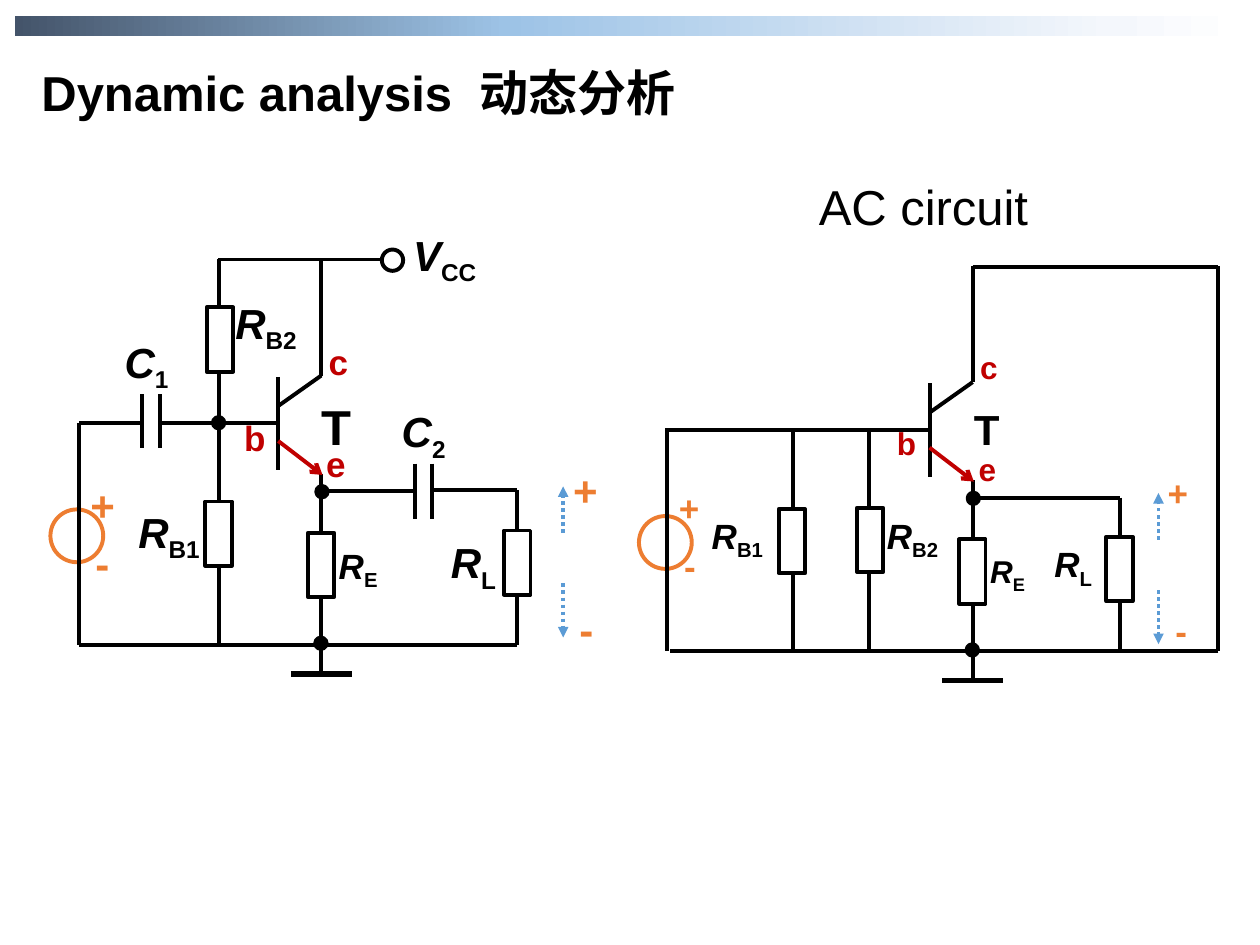
from itertools import pairwise
from lxml.etree import SubElement
from pptx import Presentation
from pptx.dml.color import RGBColor
from pptx.enum.dml import MSO_LINE
from pptx.enum.shapes import MSO_CONNECTOR, MSO_SHAPE
from pptx.enum.text import PP_ALIGN
from pptx.oxml.ns import qn
from pptx.util import Pt

BLACK, WHITE, RED, ORANGE, BLUE = "000000", "FFFFFF", "C00000", "ED7D31", "5B9BD5"
BANNER_STOPS = [(0, "44546A"), (40, "9DC3E6"), (89, "F4F7FC"), (100, WHITE)]

FULL_CIRCUIT = {
    "shift": (0, 0),
    "source_x": 43.9,
    "output_x": 321.8,
    "wires": [
        [(183.6, 214.6), (183.6, 148.3)],
        [(125, 368.6), (125, 148.3)],
        [(124.6, 148.3), (218.9, 148.3)],
        [(295.2, 368.6), (44.9, 368.6)],
        [(159, 241.9), (91.4, 241.9)],
        [(81.4, 241.9), (45.1, 241.9), (45.1, 368.6)],
        [(91.4, 225.4), (91.4, 256.3)],
        [(81.4, 225.4), (81.4, 256.3)],
        [(183.6, 280.8), (236.9, 280.8)],
        [(236.9, 265), (236.9, 296.6)],
        [(247, 265), (247, 296.6)],
        [(247, 280.1), (295.2, 280.1), (295.2, 368.6)],
    ],
    "resistors": [(125.6, 194), (295.6, 321.5), (124.9, 304.9)],
    "nodes": [(124.9, 241.6)],
    "labels": [
        ("V_CC", 229, 127.4, 24, BLACK), ("R_B2", 127.4, 166.3, 24, BLACK),
        ("R_L", 250.6, 303.1, 24, BLACK), ("C_1", 64.1, 188.6, 24, BLACK),
        ("C_2", 222.5, 228.2, 24, BLACK), ("R_B1", 72, 285.8, 24, BLACK),
        ("R_E", 186.5, 307.4, 20, BLACK), ("T", 176.4, 223.2, 28, BLACK),
        ("b", 132.5, 234.7, 20, RED), ("e", 179.3, 249.1, 20, RED),
        ("c", 180.7, 190.8, 20, RED),
        ("+", 44.6, 270.7, 24, ORANGE), ("-", 47.5, 303.8, 24, ORANGE),
        ("+", 320.4, 262.1, 24, ORANGE), ("-", 324, 341.3, 24, ORANGE),
    ],
}
AC_CIRCUIT = {
    "shift": (372.2, 3.8),
    "source_x": 380.2,
    "output_x": 662,
    "wires": [
        [(555.8, 218.5), (555.8, 152.3)],
        [(555.8, 152.6), (696.2, 152.6)],
        [(696.2, 372.2), (696.2, 152)],
        [(496.8, 372.2), (496.8, 244.4)],
        [(452.9, 372.2), (452.9, 244.8)],
        [(531.4, 245.5), (380.9, 245.5)],
        [(380.9, 244.8), (380.9, 372.2)],
        [(696.2, 372.2), (383, 372.2)],
        [(555.8, 284.4), (640.1, 284.4), (640.1, 372.2)],
    ],
    "resistors": [(639.7, 325.1), (452.5, 309.2), (497.2, 308.5)],
    "nodes": [],
    "labels": [
        ("R_B1", 399.6, 290.2, 20, BLACK), ("R_B2", 499.7, 290.2, 20, BLACK),
        ("R_L", 595.4, 306.7, 20, BLACK), ("R_E", 558.7, 311.8, 18, BLACK),
        ("T", 549.4, 226.8, 24, BLACK), ("b", 505.4, 239, 18, RED),
        ("e", 552.2, 253.4, 18, RED), ("c", 553, 195.1, 18, RED),
        ("+", 380.9, 274.3, 20, ORANGE), ("-", 383.8, 307.4, 20, ORANGE),
        ("+", 660.2, 265.7, 20, ORANGE), ("-", 664.6, 344.9, 20, ORANGE),
    ],
}

deck = Presentation()
deck.slide_width, deck.slide_height = Pt(720), Pt(540)
page = deck.slides.add_slide(deck.slide_layouts[6])


def color(value):
    return RGBColor.from_string(value)


def add_text(text, left, top, width, size, fill=BLACK, bold=True, align=PP_ALIGN.LEFT, gap=0):
    main, _, subscript = text.partition("_")
    height = size * (1.47 if subscript else 1.2) + 7.2
    box = page.shapes.add_textbox(Pt(left), Pt(top), Pt(width), Pt(height))
    box.text_frame.word_wrap = True
    para = box.text_frame.paragraphs[0]
    para.alignment = align
    pieces = [(main, {})]
    if subscript:
        pieces.append((subscript, {"baseline": "-25000"}))
    if gap:
        start, end = main.rsplit(" ", 1)
        pieces = [(start, {}), (" ", {"spc": str(gap * 100)}), (end, {})]
    for piece, extra in pieces:
        span = para.add_run()
        span.text = piece
        span.font.name, span.font.size = "Arial", Pt(size)
        span.font.bold = bold
        span.font.italic = bool(subscript) and piece == main
        span.font.color.rgb = color(fill)
        for key, value in extra.items():
            span.font._element.set(key, value)


def add_line(start, end, stroke=BLACK, weight=2.25, dash=None, arrow=None):
    line = page.shapes.add_connector(MSO_CONNECTOR.STRAIGHT, *map(Pt, start + end))
    line.line.color.rgb = color(stroke)
    line.line.width = Pt(weight)
    if dash:
        line.line.dash_style = dash
    if arrow:
        tag, kind = arrow
        SubElement(line.line._get_or_add_ln(), qn(tag), type=kind)
    SubElement(line._element.spPr, qn("a:effectLst"))


def add_centered(kind, center, width, height, fill=None, stroke=BLACK):
    x, y = center
    shape = page.shapes.add_shape(
        kind, Pt(x - width / 2), Pt(y - height / 2), Pt(width), Pt(height))
    shape.shadow.inherit = False
    if fill:
        shape.fill.solid()
        shape.fill.fore_color.rgb = color(fill)
    else:
        shape.fill.background()
    shape.line.color.rgb = color(stroke)
    shape.line.width = Pt(2.25)


def add_banner():
    banner = page.shapes.add_shape(MSO_SHAPE.RECTANGLE, Pt(8.64), Pt(9.2), Pt(702.7), Pt(11.5))
    banner.shadow.inherit = False
    banner.line.fill.background()
    banner.fill.gradient()
    banner.fill.gradient_angle = 0
    stops = banner._element.spPr.find(qn("a:gradFill")).find(qn("a:gsLst"))
    for stop in list(stops):
        stops.remove(stop)
    for position, value in BANNER_STOPS:
        stop = SubElement(stops, qn("a:gs"), pos=str(position * 1000))
        SubElement(stop, qn("a:srgbClr"), val=value)


def add_circuit(circuit):
    dx, dy = circuit["shift"]

    def moved(x, y):
        return x + dx, y + dy

    add_centered(MSO_SHAPE.OVAL, (circuit["source_x"], 306.2 + dy), 30.2, 30.2, stroke=ORANGE)
    for wire in circuit["wires"]:
        for start, end in pairwise(wire):
            add_line(start, end)
    add_line(moved(159, 215.3), moved(159, 268.6))
    add_line(moved(159, 232), moved(183.6, 214.6))
    add_line(moved(183.6, 270.7), moved(183.6, 385.2))
    add_line(moved(184.3, 271.4), moved(159, 252), RED, arrow=("a:headEnd", "arrow"))
    add_line(moved(166.3, 385.2), moved(200.9, 385.2), weight=3)
    for start, end in [(333.4, 364.3), (304.6, 277.9)]:
        x = circuit["output_x"]
        add_line((x, start + dy), (x, end + dy), BLUE, 2,
                 MSO_LINE.ROUND_DOT, ("a:tailEnd", "triangle"))
    for center in circuit["resistors"] + [moved(183.4, 322.8)]:
        add_centered(MSO_SHAPE.RECTANGLE, center, 15.1, 36.7, WHITE)
    for center in circuit["nodes"] + [moved(184, 281), moved(183.4, 367.6)]:
        add_centered(MSO_SHAPE.OVAL, center, 6.5, 6.5, BLACK)
    for text, left, top, size, fill in circuit["labels"]:
        add_text(text, left, top, 56 if "_" in text else 36, size, fill)


add_banner()
add_circuit(FULL_CIRCUIT)
add_centered(MSO_SHAPE.OVAL, (224.3, 148.7), 12.2, 12.2, WHITE)
add_text("AC circuit", 460.8, 97.2, 152, 28, bold=False, align=PP_ALIGN.JUSTIFY)
add_text("Dynamic analysis 动态分析", 16.6, 32.4, 404, 28, align=PP_ALIGN.JUSTIFY, gap=8)
add_circuit(AC_CIRCUIT)
deck.save("out.pptx")
